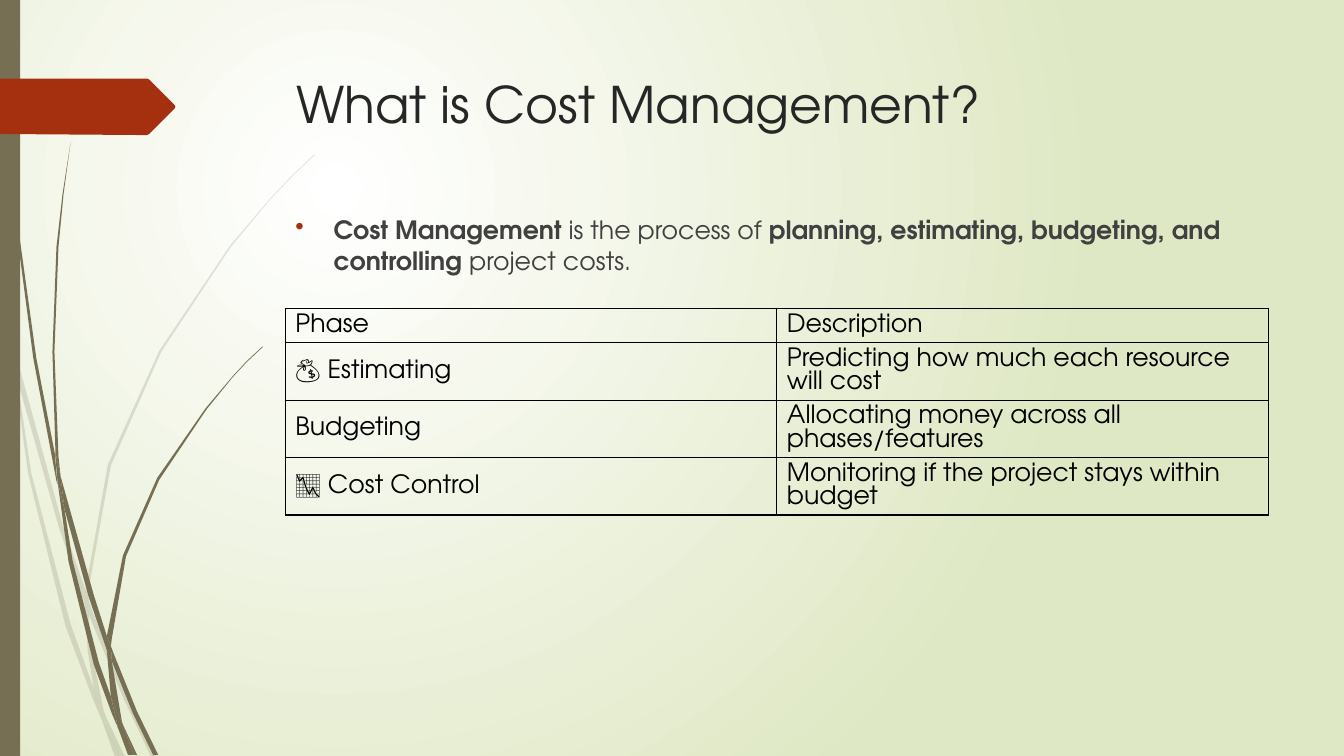
"""Builds the cost management slide with its grass ornament and phase table."""
from dataclasses import dataclass
from typing import Any

import pptx
import pptx.dml.color
import pptx.enum.text
import pptx.oxml.ns
import pptx.util
from lxml import etree

Inches, Pt = pptx.util.Inches, pptx.util.Pt
Points = tuple[tuple[int, int], ...]


@dataclass(frozen=True)
class Theme:
    font: str = "TeX Gyre Adventor"
    title_size: float = 36
    body_size: float = 18
    table_leading: float = 16.6
    title_ink: str = "262626"
    body_ink: str = "404040"
    table_ink: str = "000000"
    accent: str = "A53010"
    grass: str = "766F54"
    glow: str = "FFFFFF"
    meadow: str = "DFE8C4"


@dataclass(frozen=True)
class Tuft:
    """Grass blades in hundredths of an inch, with their opacity in percent."""
    opacity: int
    blades: tuple[Points, ...]


@dataclass(frozen=True)
class Phrase:
    text: str
    bold: bool = False


THEME = Theme()

PALE_TUFT = Tuft(20, (
    ((11, 350), (9, 322), (0, 282), (0, 299), (10, 344)),
    ((58, 522), (84, 599), (85, 586), (62, 520), (14, 345), (17, 376)),
    ((92, 607), (88, 596), (88, 610), (123, 694), (150, 751), (155, 751), (127, 692)),
    ((119, 751), (124, 751), (105, 711)),
    ((93, 683), (70, 619), (31, 469), (17, 376), (11, 350), (28, 470), (65, 621),
     (92, 693), (101, 714), (99, 707)),
    ((84, 599), (87, 646), (93, 683), (96, 692), (105, 711), (103, 706), (91, 646),
     (88, 610), (88, 608)),
    ((88, 584), (110, 462), (160, 349), (229, 245), (268, 198), (290, 175), (312, 154),
     (312, 153), (289, 175), (268, 197), (228, 244), (158, 348), (107, 461), (85, 584),
     (85, 586), (88, 596)),
    ((101, 714), (114, 751), (119, 751)),
    ((88, 608), (88, 610), (88, 596), (85, 586), (84, 599)),
    ((96, 692), (93, 683), (99, 707), (101, 714), (119, 751), (105, 711)),
))
DARK_TUFT = Tuft(100, (
    ((7, 110), (17, 233), (33, 355), (56, 477), (57, 481), (55, 457), (55, 453), (36, 355),
     (19, 232), (8, 109), (5, 48), (4, 0), (3, 0), (4, 48)),
    ((88, 592), (106, 645), (106, 631), (93, 590), (60, 472), (64, 505)),
    ((113, 649), (110, 641), (111, 656), (132, 708), (152, 749), (157, 749), (136, 706)),
    ((110, 691), (98, 657), (72, 556), (64, 505), (57, 477), (68, 557), (93, 659),
     (111, 708), (117, 722), (116, 717)),
    ((60, 472), (58, 453), (54, 349), (58, 245), (63, 193), (70, 141), (62, 193),
     (56, 245), (52, 349), (55, 449)),
    ((133, 749), (136, 749), (122, 719)),
    ((57, 477), (64, 505), (60, 472), (55, 449), (55, 453)),
    ((111, 633), (125, 552), (158, 476), (205, 406), (231, 374), (245, 359), (261, 344),
     (260, 344), (245, 358), (231, 373), (204, 405), (156, 474), (122, 551), (106, 631),
     (110, 641)),
    ((117, 722), (127, 749), (131, 749)),
    ((106, 645), (110, 691), (116, 706), (122, 719), (121, 716), (111, 656), (109, 651)),
    ((106, 645), (109, 651), (111, 656), (110, 641), (106, 631)),
    ((116, 706), (110, 691), (116, 717), (117, 722), (130, 749), (133, 749), (122, 719)),
))
POINTER: Points = ((173, 108), (148, 133), (146, 134), (136, 134), (0, 133), (0, 78),
                   (146, 78), (148, 79), (173, 104), (174, 106))

DEFINITION = (
    Phrase("Cost Management", True),
    Phrase(" is the process of "),
    Phrase("planning, estimating, budgeting, and controlling", True),
    Phrase(" project costs."),
)
PHASES = (
    ("Phase", "Description"),
    ("💰 Estimating", "Predicting how much each resource will cost"),
    ("Budgeting", "Allocating money across all phases/features"),
    ("📉 Cost Control", "Monitoring if the project stays within budget"),
)


def rgb(color: str) -> Any:
    return pptx.dml.color.RGBColor.from_string(color)


def add_node(parent: Any, tag: str, **attributes: Any) -> Any:
    values = {key: str(value) for key, value in attributes.items()}
    return etree.SubElement(parent, pptx.oxml.ns.qn(tag), values)


def apply_format(target: Any, values: dict[str, Any]) -> None:
    for name, value in values.items():
        setattr(target, name, value)


def write(paragraph: Any, phrases: tuple[Phrase, ...], size: float, color: str) -> None:
    for phrase in phrases:
        run = paragraph.add_run()
        run.text = phrase.text
        apply_format(run.font, {"name": THEME.font, "size": Pt(size), "bold": phrase.bold})
        run.font.color.rgb = rgb(color)


def paint(shape: Any, color: str, opacity: int = 100) -> None:
    shape.shadow.inherit = False
    shape.fill.solid()
    shape.fill.fore_color.rgb = rgb(color)
    shape.line.fill.background()
    if opacity < 100:
        tint = shape.fill._xPr.find(".//" + pptx.oxml.ns.qn("a:srgbClr"))
        add_node(tint, "a:alpha", val=opacity * 1000)


def add_outline(slide: Any, points: Points, color: str, opacity: int = 100) -> None:
    builder = slide.shapes.build_freeform(*points[0], scale=Inches(0.01))
    builder.add_line_segments(points[1:], close=True)
    paint(builder.convert_to_shape(), color, opacity)


def add_glow(slide: Any) -> None:
    fill = slide.background.fill
    fill.gradient()
    for stop, color in zip(fill.gradient_stops, (THEME.glow, THEME.meadow)):
        stop.color.rgb = rgb(color)
    gradient = slide.element.find(".//" + pptx.oxml.ns.qn("a:gradFill"))
    gradient.remove(gradient.find(pptx.oxml.ns.qn("a:lin")))
    circle = add_node(gradient, "a:path", path="circle")
    add_node(circle, "a:fillToRect", l=50000, t=50000, r=100000, b=100000)


def add_text(slide: Any, box: tuple[float, ...], phrases: tuple[Phrase, ...],
             size: float, color: str) -> Any:
    frame = slide.shapes.add_textbox(*map(Inches, box)).text_frame
    frame.word_wrap = True
    write(frame.paragraphs[0], phrases, size, color)
    return frame.paragraphs[0]


def add_bullet(paragraph: Any) -> None:
    properties = paragraph._p.get_or_add_pPr()
    properties.set("marL", str(Inches(0.38)))
    properties.set("indent", str(Inches(-0.38)))
    add_node(add_node(properties, "a:buClr"), "a:srgbClr", val=THEME.accent)
    add_node(properties, "a:buChar", char="•")


def add_borders(cell: Any) -> None:
    properties = cell._tc.get_or_add_tcPr()
    for side in ("a:lnL", "a:lnR", "a:lnT", "a:lnB"):
        border = add_node(properties, side, w=Pt(1))
        add_node(add_node(border, "a:solidFill"), "a:srgbClr", val=THEME.table_ink)


def add_phases(slide: Any) -> None:
    box = map(Inches, (2.83, 3.06, 9.75, 2.05))
    table = slide.shapes.add_table(len(PHASES), len(PHASES[0]), *box).table
    apply_format(table, {"first_row": False, "horz_banding": False})
    for row_index, entries in enumerate(PHASES):
        table.rows[row_index].height = Inches(0.57 if row_index else 0.34)
        for column_index, entry in enumerate(entries):
            cell = table.cell(row_index, column_index)
            cell.vertical_anchor = pptx.enum.text.MSO_ANCHOR.MIDDLE
            add_borders(cell)
            cell.fill.background()
            paragraph = cell.text_frame.paragraphs[0]
            paragraph.line_spacing = Pt(THEME.table_leading)
            write(paragraph, (Phrase(entry),), THEME.body_size, THEME.table_ink)


def main() -> None:
    deck = pptx.Presentation()
    apply_format(deck, {"slide_width": Inches(13.33), "slide_height": Inches(7.5)})
    slide = deck.slides.add_slide(deck.slide_layouts[6])
    add_glow(slide)
    for tuft in (PALE_TUFT, DARK_TUFT):
        for blade in tuft.blades:
            add_outline(slide, blade, THEME.grass, tuft.opacity)
    rectangle = pptx.enum.shapes.MSO_SHAPE.RECTANGLE
    paint(slide.shapes.add_shape(rectangle, 0, 0, Inches(0.2), Inches(7.5)), THEME.grass)
    add_outline(slide, POINTER, THEME.accent)
    add_text(slide, (2.84, 0.68, 9.75, 1.4), (Phrase("What is Cost Management?"),),
             THEME.title_size, THEME.title_ink)
    add_bullet(add_text(slide, (2.83, 2.08, 9.75, 4.13), DEFINITION,
                        THEME.body_size, THEME.body_ink))
    add_phases(slide)
    deck.save("out.pptx")


if __name__ == "__main__":
    main()
